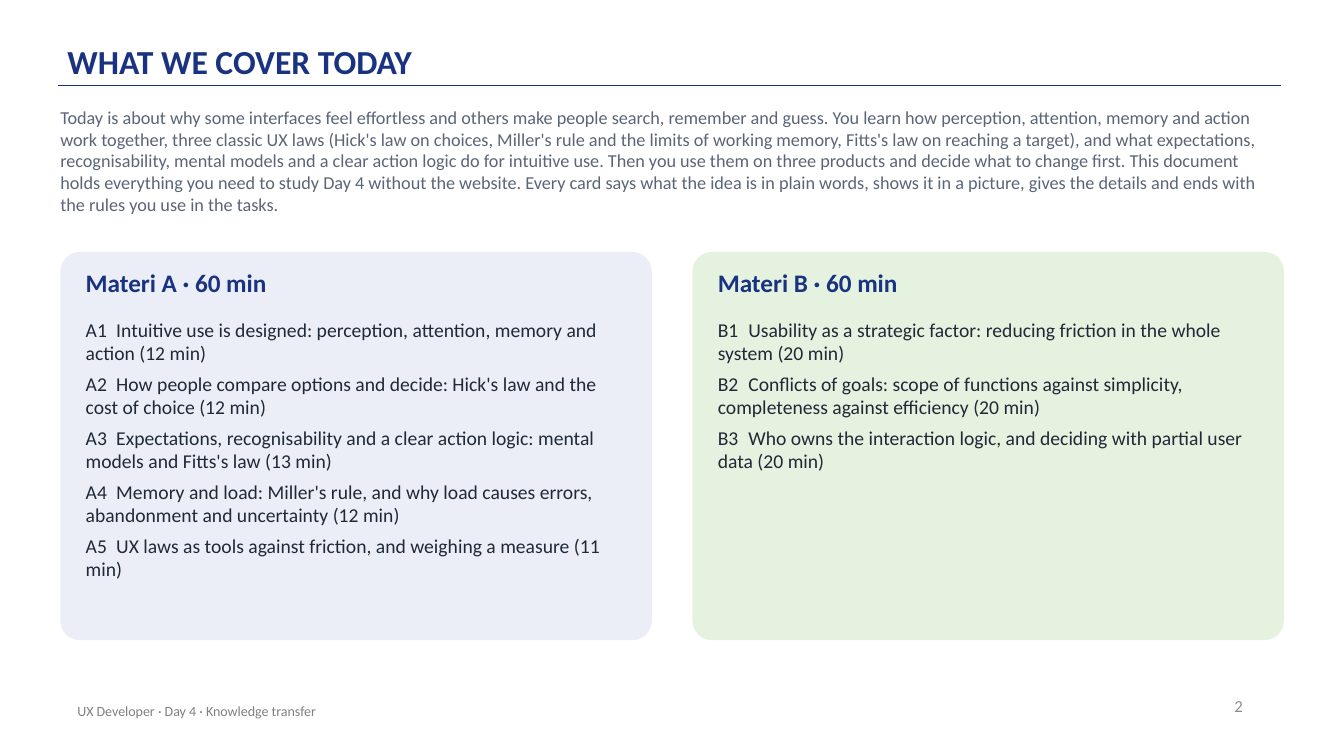
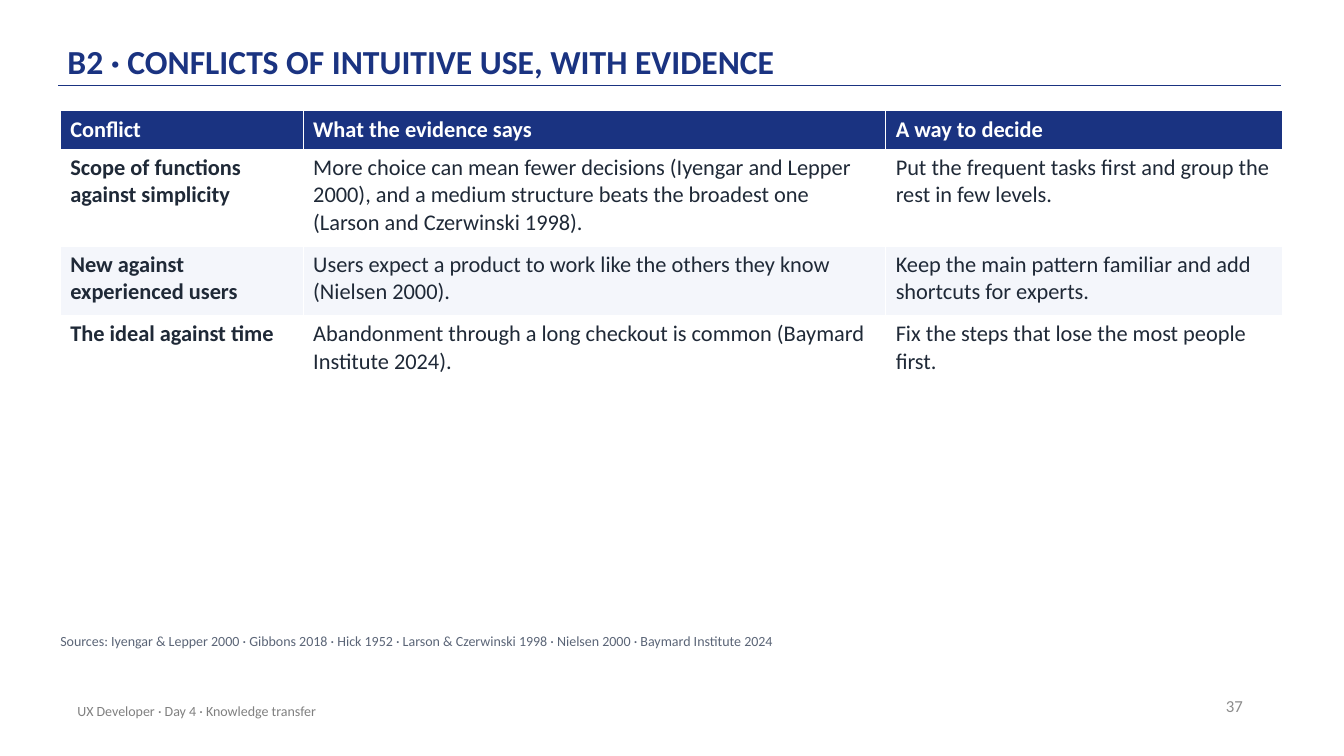
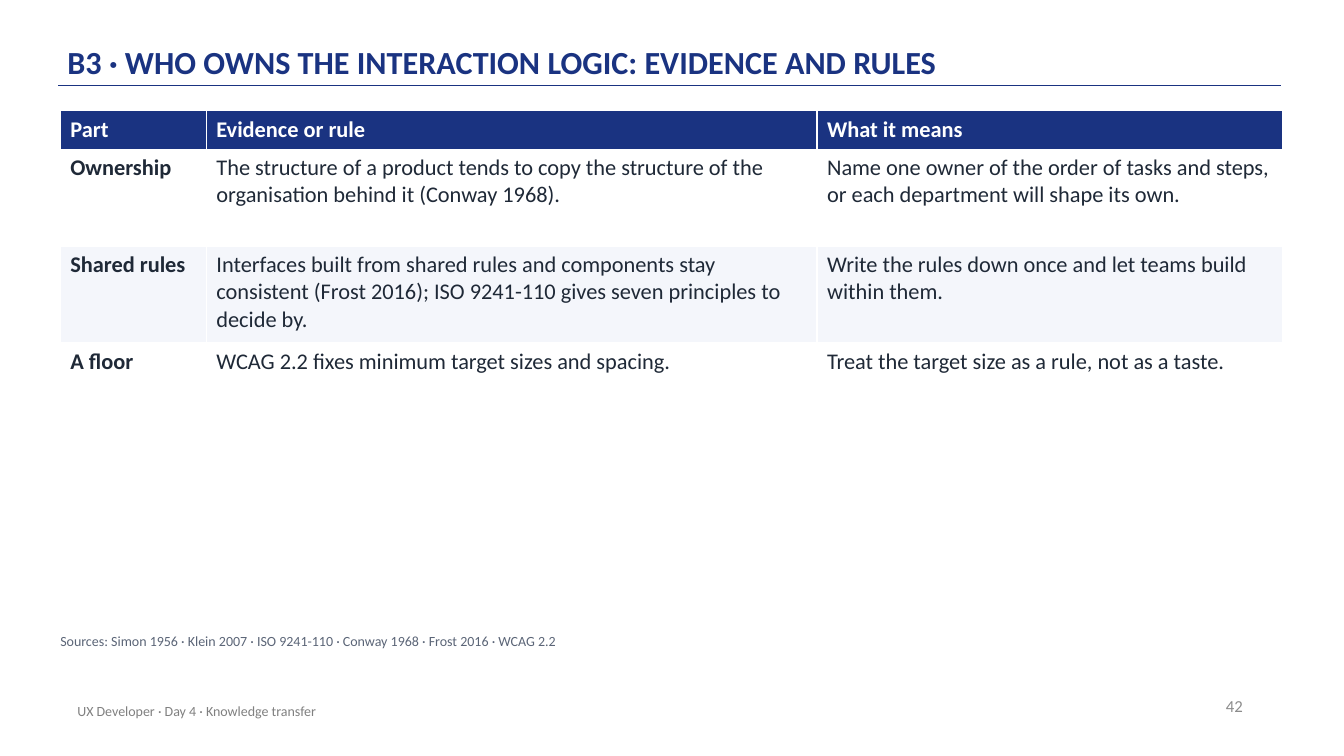
"""Builds three slides of a UX training day: an overview and two evidence tables."""
from lxml import etree
from pptx import Presentation
from pptx import util as u
from pptx.dml import color
from pptx.enum import shapes, text
from pptx.oxml import ns

FONT = "Calibri"
NAVY, INK, SLATE = "1A3381", "1F2937", "5B6577"
WHITE, STRIPE = "FFFFFF", "F4F6FB"
LEFT, WIDE = 1.52, 30.73
FOOT = "UX Developer · Day 4 · Knowledge transfer"

INTRO = (
    "Today is about why some interfaces feel effortless and others make people search, "
    "remember and guess. You learn how perception, attention, memory and action work "
    "together, three classic UX laws (Hick's law on choices, Miller's rule and the limits "
    "of working memory, Fitts's law on reaching a target), and what expectations, "
    "recognisability, mental models and a clear action logic do for intuitive use. Then you "
    "use them on three products and decide what to change first. This document holds "
    "everything you need to study Day 4 without the website. Every card says what the idea "
    "is in plain words, shows it in a picture, gives the details and ends with the rules you "
    "use in the tasks."
)

CARDS = [
    ("A", "ECEEF7", [
        "Intuitive use is designed: perception, attention, memory and action (12 min)",
        "How people compare options and decide: Hick's law and the cost of choice (12 min)",
        "Expectations, recognisability and a clear action logic: mental models and "
        "Fitts's law (13 min)",
        "Memory and load: Miller's rule, and why load causes errors, abandonment and "
        "uncertainty (12 min)",
        "UX laws as tools against friction, and weighing a measure (11 min)",
    ]),
    ("B", "E5F2DF", [
        "Usability as a strategic factor: reducing friction in the whole system (20 min)",
        "Conflicts of goals: scope of functions against simplicity, completeness against "
        "efficiency (20 min)",
        "Who owns the interaction logic, and deciding with partial user data (20 min)",
    ]),
]

CLASHES = [
    ("Conflict", "What the evidence says", "A way to decide"),
    ("Scope of functions against simplicity",
     "More choice can mean fewer decisions (Iyengar and Lepper 2000), and a medium "
     "structure beats the broadest one (Larson and Czerwinski 1998).",
     "Put the frequent tasks first and group the rest in few levels."),
    ("New against experienced users",
     "Users expect a product to work like the others they know (Nielsen 2000).",
     "Keep the main pattern familiar and add shortcuts for experts."),
    ("The ideal against time",
     "Abandonment through a long checkout is common (Baymard Institute 2024).",
     "Fix the steps that lose the most people first."),
]

OWNERS = [
    ("Part", "Evidence or rule", "What it means"),
    ("Ownership",
     "The structure of a product tends to copy the structure of the organisation behind "
     "it (Conway 1968).",
     "Name one owner of the order of tasks and steps, or each department will shape its own."),
    ("Shared rules",
     "Interfaces built from shared rules and components stay consistent (Frost 2016); "
     "ISO 9241-110 gives seven principles to decide by.",
     "Write the rules down once and let teams build within them."),
    ("A floor",
     "WCAG 2.2 fixes minimum target sizes and spacing.",
     "Treat the target size as a rule, not as a taste."),
]


def rgb(code):
    """Turn a hex string into a colour."""
    return color.RGBColor.from_string(code)


def box(*sides):
    """Turn left, top, width and height in centimetres into lengths."""
    return [u.Cm(side) for side in sides]


def write(para, words, size, code, bold=False):
    """Add one formatted run to a paragraph."""
    run = para.add_run()
    run.text = words
    font = run.font
    font.name, font.size, font.bold = FONT, u.Pt(size), bold
    font.color.rgb = rgb(code)


def stop(para, place):
    """Set one left tab stop on a paragraph."""
    tabs = etree.SubElement(para._p.get_or_add_pPr(), ns.qn("a:tabLst"))
    etree.SubElement(tabs, ns.qn("a:tab"), pos=str(u.Cm(place)), algn="l")


def label(slide, area, lines, size, code, bold=False, after=6, tab=None):
    """Place a text box without margins, one paragraph a line."""
    frame = slide.shapes.add_textbox(*box(*area)).text_frame
    frame.word_wrap = True
    frame.margin_left = frame.margin_right = frame.margin_top = frame.margin_bottom = 0
    for i, line in enumerate(lines):
        para = frame.paragraphs[0] if i == 0 else frame.add_paragraph()
        if tab:
            stop(para, tab)
        para.space_after = u.Pt(after)
        write(para, line, size, code, bold)


def foot(slide, area, words, size, code, align):
    """Place one footer text, centred in height."""
    frame = slide.shapes.add_textbox(*box(*area)).text_frame
    frame.word_wrap = True
    frame.vertical_anchor = text.MSO_ANCHOR.MIDDLE
    para = frame.paragraphs[0]
    para.alignment = align
    write(para, words, size, code)


def rule(slide):
    """Draw the line below the title."""
    line = slide.shapes.add_connector(
        shapes.MSO_CONNECTOR.STRAIGHT, *box(1.47, 2.16, 32.28, 2.16))
    line.line.color.rgb = rgb(NAVY)
    line.line.width = u.Pt(1)
    etree.SubElement(line._element.spPr, ns.qn("a:effectLst"))


def start(deck, title, page, size=24):
    """Add a slide with its title, rule and footers."""
    slide = deck.slides.add_slide(deck.slide_layouts[5])
    head = slide.shapes.title
    head.left, head.top, head.width, head.height = box(1.7, 0.3, 27.94, 1.83)
    frame = head.text_frame
    frame.auto_size = text.MSO_AUTO_SIZE.NONE
    frame.word_wrap = True
    frame.vertical_anchor = text.MSO_ANCHOR.BOTTOM
    frame.margin_left = frame.margin_right = 0
    frame.margin_top = frame.margin_bottom = u.Cm(0.08)
    para = frame.paragraphs[0]
    para.alignment = text.PP_ALIGN.LEFT
    para.line_spacing = 0.9
    write(para, title, size, NAVY, True)
    rule(slide)
    foot(slide, (23.95, 17.27, 7.62, 1.02), str(page), 12, "8C8C8C", text.PP_ALIGN.RIGHT)
    foot(slide, (1.7, 17.4, 17.02, 1.02), FOOT, 10, "808080", text.PP_ALIGN.LEFT)
    return slide


def card(slide, left, part, tint, items):
    """Draw a rounded card with a heading and numbered topics."""
    panel = slide.shapes.add_shape(
        shapes.MSO_SHAPE.ROUNDED_RECTANGLE, *box(left, 6.35, 14.91, 9.78))
    panel.adjustments[0] = 0.05
    panel.shadow.inherit = False
    panel.fill.solid()
    panel.fill.fore_color.rgb = rgb(tint)
    panel.line.fill.background()
    inner, width = left + 0.64, 13.64
    label(slide, (inner, 6.73, width, 1.02), [f"Materi {part} · 60 min"], 18, NAVY, True)
    topics = [f"{part}{i}\t{item}" for i, item in enumerate(items, 1)]
    label(slide, (inner, 8, width, 7.87), topics, 14, INK, after=5, tab=0.77)


def grid(slide, rows, widths, heights):
    """Place a table with a navy header, bold first column and striped rows."""
    area = box(LEFT, 2.79, sum(widths), sum(heights))
    table = slide.shapes.add_table(len(rows), len(widths), *area).table
    for col, width in zip(table.columns, widths):
        col.width = u.Cm(width)
    for r, (row, height) in enumerate(zip(rows, heights)):
        table.rows[r].height = u.Cm(height)
        back = NAVY if r == 0 else STRIPE if r == 2 else WHITE
        for c, words in enumerate(row):
            cell = table.cell(r, c)
            cell.fill.solid()
            cell.fill.fore_color.rgb = rgb(back)
            para = cell.text_frame.paragraphs[0]
            write(para, words, 16, INK if r else WHITE, r == 0 or c == 0)


def cite(slide, names):
    """Place the line of sources."""
    label(slide, (LEFT, 15.93, WIDE, 0.76), ["Sources: " + " · ".join(names)], 10, SLATE)


def main():
    """Build and save the deck."""
    deck = Presentation()
    deck.slide_width, deck.slide_height = box(33.87, 19.05)

    slide = start(deck, "WHAT WE COVER TODAY", 2)
    label(slide, (LEFT, 2.67, WIDE, 3.05), [INTRO], 13, SLATE)
    for i, (part, tint, items) in enumerate(CARDS):
        card(slide, LEFT + i * 15.93, part, tint, items)

    slide = start(deck, "B2 · CONFLICTS OF INTUITIVE USE, WITH EVIDENCE", 37)
    grid(slide, CLASHES, (6.12, 14.68, 10.01), (0.97, 2.44, 1.75, 1.75))
    cite(slide, ["Iyengar & Lepper 2000", "Gibbons 2018", "Hick 1952",
                 "Larson & Czerwinski 1998", "Nielsen 2000", "Baymard Institute 2024"])

    slide = start(deck, "B3 · WHO OWNS THE INTERACTION LOGIC: EVIDENCE AND RULES", 42, 23)
    grid(slide, OWNERS, (3.68, 15.39, 11.73), (0.97, 2.44, 2.44, 1.75))
    cite(slide, ["Simon 1956", "Klein 2007", "ISO 9241-110", "Conway 1968",
                 "Frost 2016", "WCAG 2.2"])

    deck.save("out.pptx")


if __name__ == "__main__":
    main()
